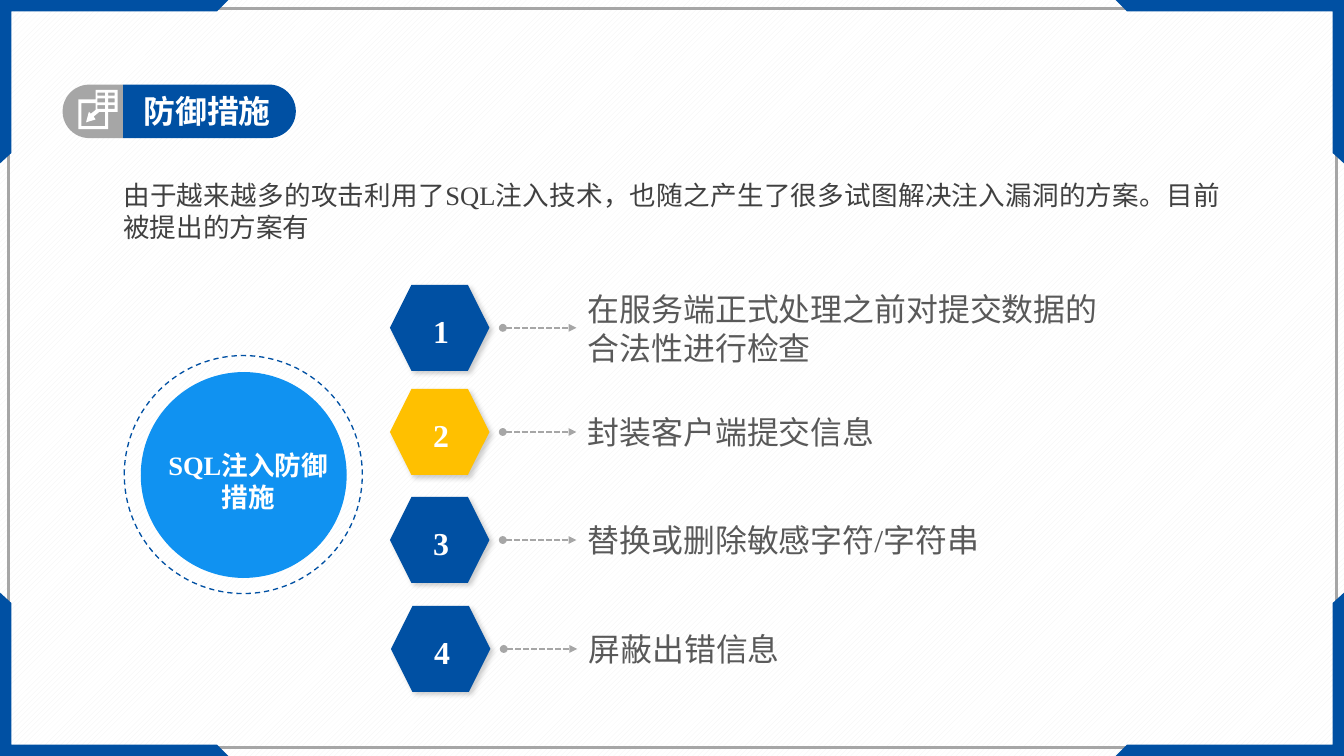
from pptx import Presentation
from pptx.dml.color import RGBColor as RGB
from pptx.enum.dml import MSO_LINE as DASH, MSO_PATTERN as PAT
from pptx.enum.shapes import MSO_CONNECTOR as LINK, MSO_SHAPE as KIND
from pptx.enum.text import MSO_ANCHOR as ANCHOR, MSO_AUTO_SIZE as AUTO, PP_ALIGN as ALIGN
from pptx.oxml import parse_xml
from pptx.oxml.ns import nsdecls, qn
from pptx.util import Pt

PX = 9144
WIDE, HIGH = 1406, 791
HUES = {
    "navy": "0050A3", "blue": "1092F1", "gold": "FFC000", "gray": "A6A6A6",
    "ink": "404040", "text": "595959", "white": "FFFFFF", "pale": "F2F2F2", "black": "000000",
}
TINT = {name: RGB.from_string(code) for name, code in HUES.items()}

deck = Presentation()
deck.slide_width, deck.slide_height = WIDE * PX, HIGH * PX
slide = deck.slides.add_slide(deck.slide_layouts[6])
shapes = slide.shapes

back = slide.background.fill
back.patterned()
back.pattern = PAT.WIDE_UPWARD_DIAGONAL
back.fore_color.rgb = TINT["pale"]
back.back_color.rgb = TINT["white"]


def paint(shape, fill=None, line=None, width=1):
    shape.shadow.inherit = False
    if fill:
        shape.fill.solid()
        shape.fill.fore_color.rgb = TINT[fill]
    else:
        shape.fill.background()
    if line:
        shape.line.color.rgb = TINT[line]
        shape.line.width = Pt(width)
    else:
        shape.line.fill.background()
    return shape


def write(text, spot, size, hue, bold=False, align=None, anchor=ANCHOR.TOP, inset=(10, 5), wrap=True):
    box = shapes.add_textbox(*(n * PX for n in spot))
    frame = box.text_frame
    frame.word_wrap = wrap
    frame.auto_size = AUTO.SHAPE_TO_FIT_TEXT
    frame.vertical_anchor = anchor
    frame.margin_left = frame.margin_right = inset[0] * PX
    frame.margin_top = frame.margin_bottom = inset[1] * PX
    para = frame.paragraphs[0]
    para.alignment = align
    run = para.add_run()
    run.text = text
    run.font.name = "Times New Roman"
    run.font.size = Pt(size)
    run.font.bold = bold
    run.font.color.rgb = TINT[hue]


border = shapes.add_shape(KIND.RECTANGLE, 9 * PX, 9 * PX, 1389 * PX, 773 * PX)
paint(border, line="gray", width=2)

corner = [(0, 0), (239, 0), (227, 12), (12, 12), (12, 160), (0, 171)]
for right in (False, True):
    for low in (False, True):
        dots = [(WIDE - x if right else x, HIGH - y if low else y) for x, y in corner]
        form = shapes.build_freeform(*dots[0], scale=PX)
        form.add_line_segments(dots[1:], close=True)
        paint(form.convert_to_shape(), "navy")

write("由于越来越多的攻击利用了SQL注入技术，也随之产生了很多试图解决注入漏洞的方案。目前被提出的方案有",
      (120, 182, 1165, 77), 20, "ink", align=ALIGN.JUSTIFY, inset=(9, 5))

for x, y, w, h, turn, hue in [(191, 26, 56, 181, 90, "navy"), (69, 85, 56, 63, 270, "gray")]:
    tab = shapes.add_shape(KIND.ROUND_2_SAME_RECTANGLE, x * PX, y * PX, w * PX, h * PX)
    tab.adjustments[0] = 0.5
    tab.adjustments[1] = 0
    tab.rotation = turn
    paint(tab, hue)
write("防御措施", (135, 88, 175, 56), 24, "white", bold=True, inset=(15, 8))

rings = [
    [(123, 94), (100, 94), (100, 104), (82, 104), (82, 135), (113, 135), (113, 117), (123, 117)],
    [(110, 132), (85, 132), (85, 108), (100, 108), (100, 115), (95, 119), (93, 117),
     (90, 128), (100, 125), (98, 122), (104, 117), (110, 117)],
]
for left, right in [(102, 110), (113, 120)]:
    for top, low in [(97, 100), (103, 107), (110, 114)]:
        rings.append([(left, top), (right, top), (right, low), (left, low)])
icon = shapes.build_freeform(*rings[0][0], scale=PX)
for ring in rings:
    icon.move_to(*ring[0])
    icon.add_line_segments(ring[1:], close=True)
paint(icon.convert_to_shape(), "white")

halo = shapes.add_shape(KIND.OVAL, 130 * PX, 372 * PX, 249 * PX, 249 * PX)
paint(halo, line="navy").line.dash_style = DASH.DASH
disc = shapes.add_shape(KIND.OVAL, 148 * PX, 390 * PX, 214 * PX, 214 * PX)
paint(disc, "blue", "blue")
write("SQL注入防御措施", (157, 465, 205, 77), 20, "white", bold=True, align=ALIGN.CENTER)

steps = [
    ("在服务端正式处理之前对提交数据的合法性进行检查", 408, 298, 571, 91, "navy"),
    ("封装客户端提交信息", 408, 407, 571, 50, "gold"),
    ("替换或删除敏感字符/字符串", 408, 520, 693, 50, "navy"),
    ("屏蔽出错信息", 409, 634, 693, 50, "navy"),
]
for num, (text, x, y, w, h, hue) in enumerate(steps, 1):
    mid = y + 45
    write(text, (x + 197, mid - h // 2, w, h), 24, "text", anchor=ANCHOR.MIDDLE)

    arrow = shapes.add_connector(LINK.STRAIGHT, (x + 118) * PX, mid * PX, (x + 195) * PX, mid * PX)
    arrow.line.color.rgb = TINT["gray"]
    arrow.line.width = Pt(1.5)
    arrow.line.dash_style = DASH.SQUARE_DOT
    for end, tip in [("headEnd", "oval"), ("tailEnd", "triangle")]:
        arrow.line._get_or_add_ln().append(parse_xml(f'<a:{end} {nsdecls("a")} type="{tip}"/>'))
    arrow._element.spPr.append(parse_xml(f'<a:effectLst {nsdecls("a")}/>'))

    badge = paint(shapes.add_shape(KIND.HEXAGON, x * PX, y * PX, 104 * PX, 90 * PX), hue)
    badge._element.spPr.find(qn("a:effectLst")).append(parse_xml(
        f'<a:outerShdw {nsdecls("a")} blurRad="{Pt(4)}" dist="{Pt(3)}" dir="2700000" algn="tl" rotWithShape="0">'
        f'<a:srgbClr val="{HUES["black"]}"><a:alpha val="20000"/></a:srgbClr></a:outerShdw>'))
    write(str(num), (x + 35, y + 23, 37, 50), 24, "white", bold=True, align=ALIGN.CENTER, wrap=False)

deck.save("out.pptx")
